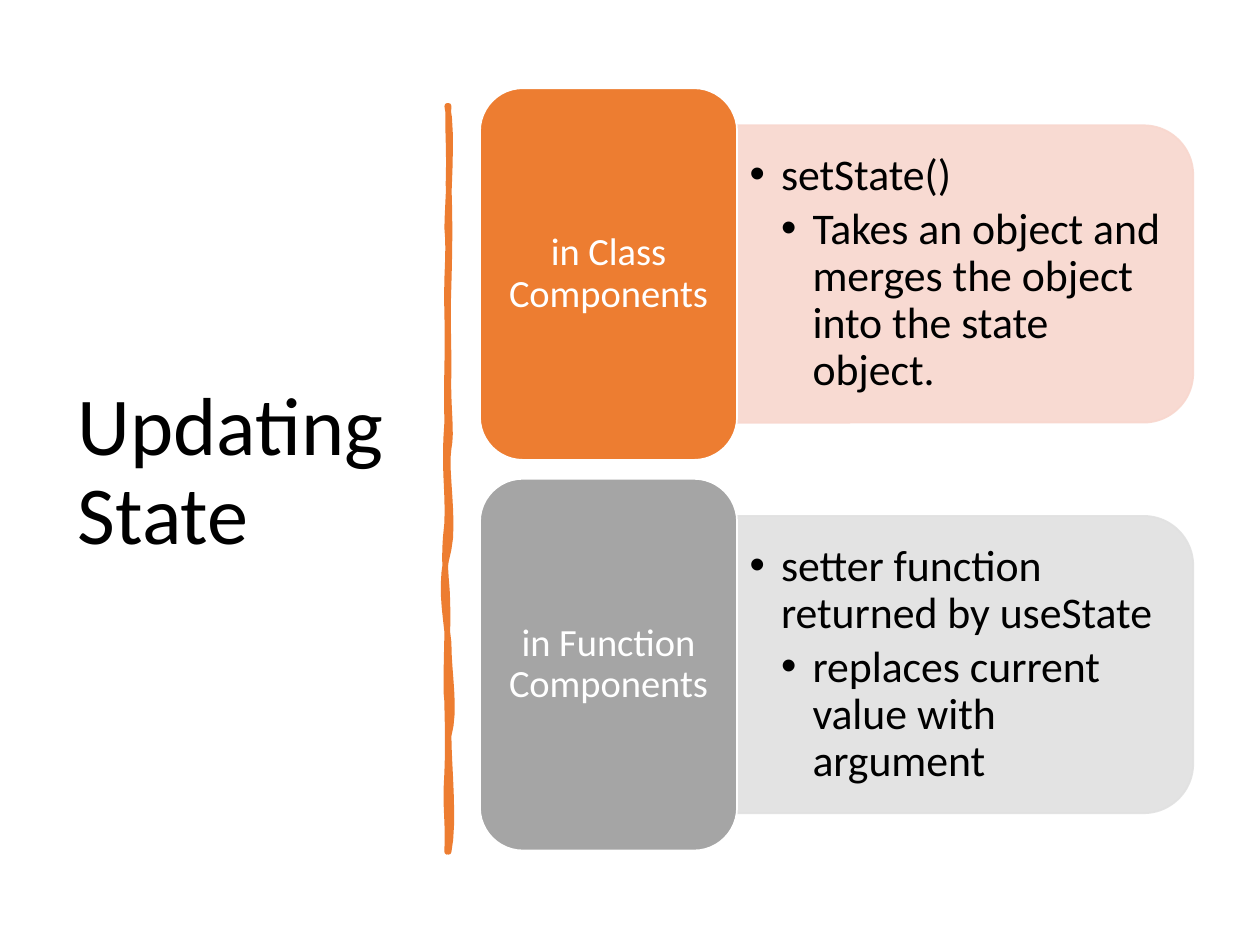
import dataclasses

import pptx
import pptx.dml.color
import pptx.enum.shapes
import pptx.enum.text
import pptx.oxml.ns
import pptx.util
from lxml import etree

Inches = pptx.util.Inches
Pt = pptx.util.Pt
RGB = pptx.dml.color.RGBColor.from_string
MSO_SHAPE = pptx.enum.shapes.MSO_SHAPE
PP_ALIGN = pptx.enum.text.PP_ALIGN
qn = pptx.oxml.ns.qn


@dataclasses.dataclass(frozen=True)
class Theme:
    font: str = "Calibri"
    ink: str = "000000"
    paper: str = "FFFFFF"
    orange: str = "ED7D31"
    orange_tint: str = "F8D7CE"
    gray: str = "A5A5A5"
    gray_tint: str = "E1E1E1"
    title_size: int = 47
    label_size: int = 22
    detail_size: int = 25
    line_spacing: float = 0.9
    detail_gap: float = 3.75


THEME = Theme()

BRUSH_START = (3.56, 0.84)
BRUSH_CURVES = [
    (3.55, 1.03, 3.57, 1.16, 3.56, 1.46),
    (3.57, 1.74, 3.57, 1.91, 3.56, 2.26),
    (3.55, 2.58, 3.56, 2.62, 3.56, 2.94),
    (3.55, 3.25, 3.59, 3.42, 3.56, 3.56),
    (3.53, 3.72, 3.61, 4.14, 3.56, 4.36),
    (3.49, 4.62, 3.53, 4.83, 3.56, 5.1),
    (3.56, 5.35, 3.62, 5.63, 3.56, 5.84),
    (3.56, 6.06, 3.61, 6.53, 3.56, 6.76),
    (3.56, 6.75, 3.55, 6.76, 3.55, 6.76),
    (3.56, 6.45, 3.53, 6.44, 3.55, 6.13),
    (3.56, 5.83, 3.55, 5.7, 3.55, 5.57),
    (3.53, 5.46, 3.56, 4.94, 3.55, 4.77),
    (3.55, 4.62, 3.51, 4.47, 3.55, 4.15),
    (3.56, 3.86, 3.52, 3.73, 3.55, 3.35),
    (3.54, 3, 3.56, 2.79, 3.55, 2.5),
    (3.54, 2.16, 3.57, 2.03, 3.55, 1.81),
    (3.55, 1.65, 3.6, 1.04, 3.55, 0.84),
]


def paint(shape, fill, line, width):
    shape.shadow.inherit = False
    shape.fill.solid()
    shape.fill.fore_color.rgb = RGB(fill)
    shape.line.color.rgb = RGB(line)
    shape.line.width = Pt(width)


def set_opacity(shape, percent):
    for color in shape._element.spPr.iter(qn("a:srgbClr")):
        etree.SubElement(color, qn("a:alpha"), val=str(percent * 1000))


def set_up_frame(shape, side=0.1, edge=0.05):
    frame = shape.text_frame
    frame.word_wrap = True
    frame.vertical_anchor = pptx.enum.text.MSO_ANCHOR.MIDDLE
    frame.margin_left = frame.margin_right = Inches(side)
    frame.margin_top = frame.margin_bottom = Inches(edge)
    return frame


def write(paragraph, text, size, color, align=PP_ALIGN.LEFT):
    paragraph.alignment = align
    paragraph.line_spacing = THEME.line_spacing
    run = paragraph.add_run()
    run.text = text
    run.font.name = THEME.font
    run.font.size = Pt(size)
    run.font.color.rgb = RGB(color)


def add_bullet(paragraph, level):
    paragraph.level = level
    properties = paragraph._p.get_or_add_pPr()
    properties.set("marL", str(Inches(0.25 * level)))
    properties.set("indent", str(Inches(-0.25)))
    etree.SubElement(properties, qn("a:buFont"), typeface="Arial")
    etree.SubElement(properties, qn("a:buChar"), char="•")
    paragraph.space_after = Pt(THEME.detail_gap)


def add_title(slide, left, top, width, height):
    title = slide.shapes.add_textbox(
        Inches(left), Inches(top), Inches(width), Inches(height))
    write(set_up_frame(title).paragraphs[0], "Updating State",
          THEME.title_size, THEME.ink)


def curve_points(start, curves, steps=8):
    x0, y0 = start
    for x1, y1, x2, y2, x3, y3 in curves:
        for step in range(1, steps + 1):
            t = step / steps
            u = 1 - t
            weights = (u ** 3, 3 * u * u * t, 3 * u * t * t, t ** 3)
            yield tuple(
                Inches(sum(w * v for w, v in zip(weights, values)))
                for values in ((x0, x1, x2, x3), (y0, y1, y2, y3)))
        x0, y0 = x3, y3


def add_brush_divider(slide):
    builder = slide.shapes.build_freeform(*map(Inches, BRUSH_START))
    builder.add_line_segments(curve_points(BRUSH_START, BRUSH_CURVES))
    paint(builder.convert_to_shape(), THEME.orange, THEME.orange, 3.25)


def add_component_row(slide, left, top, width, height,
                      label, details, color, tint):
    label_width = 2.04
    panel_left = left + label_width
    panel_width = width - label_width
    panel_height = 0.8 * height
    center_x = panel_left + panel_width / 2
    center_y = top + height / 2

    panel = slide.shapes.add_shape(
        MSO_SHAPE.ROUND_2_SAME_RECTANGLE,
        Inches(center_x - panel_height / 2), Inches(center_y - panel_width / 2),
        Inches(panel_height), Inches(panel_width))
    panel.rotation = 90
    paint(panel, tint, tint, 1)
    set_opacity(panel, 90)

    detail_height = 2.13
    detail_box = slide.shapes.add_textbox(
        Inches(panel_left), Inches(center_y - detail_height / 2),
        Inches(3.51), Inches(detail_height))
    frame = set_up_frame(detail_box)
    for level, detail in enumerate(details, 1):
        paragraph = frame.paragraphs[0] if level == 1 else frame.add_paragraph()
        add_bullet(paragraph, level)
        write(paragraph, detail, THEME.detail_size, THEME.ink)

    card = slide.shapes.add_shape(
        MSO_SHAPE.ROUNDED_RECTANGLE,
        Inches(left), Inches(top), Inches(label_width), Inches(height))
    paint(card, color, THEME.paper, 1)
    write(set_up_frame(card, 0.09).paragraphs[0], label,
          THEME.label_size, THEME.paper, PP_ALIGN.CENTER)


def main():
    deck = pptx.Presentation()
    deck.slide_width, deck.slide_height = Inches(10), Inches(7.5)
    slide = deck.slides.add_slide(deck.slide_layouts[6])
    slide.background.fill.solid()
    slide.background.fill.fore_color.rgb = RGB(THEME.paper)

    add_title(slide, 0.52, 0.7, 2.8, 6.11)
    add_brush_divider(slide)
    rows = [
        ("in Class Components",
         ["setState()",
          "Takes an object and merges the object into the state object."],
         THEME.orange, THEME.orange_tint),
        ("in Function Components",
         ["setter function returned by useState",
          "replaces current value with argument"],
         THEME.gray, THEME.gray_tint),
    ]
    for index, row in enumerate(rows):
        add_component_row(slide, 3.81, 0.7 + 3.1 * index, 5.66, 2.95, *row)
    deck.save("out.pptx")


if __name__ == "__main__":
    main()
